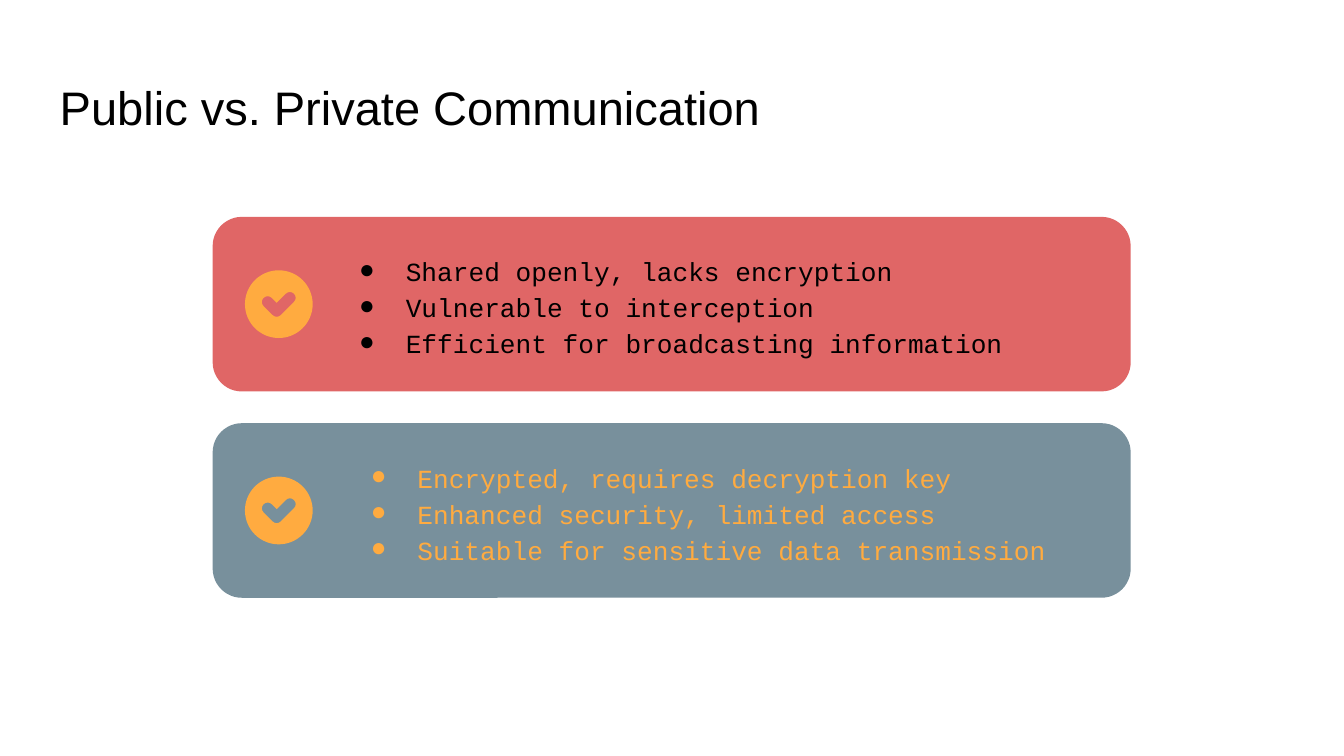
from dataclasses import dataclass
from math import cos, radians, sin, sqrt, tan

from lxml import etree
from pptx import Presentation
from pptx.dml.color import RGBColor
from pptx.enum import shapes, text
from pptx.oxml.ns import qn
from pptx.util import Cm, Pt


@dataclass(frozen=True)
class Theme:
    black: str = "000000"
    red: str = "E06666"
    slate: str = "78909C"
    amber: str = "FFAB40"
    title_font: str = "Arial"
    body_font: str = "Courier New"
    title_size: float = 25.2
    body_size: float = 14


THEME = Theme()

# Card layout in centimetres
CARD_LEFT, CARD_TOP, CARD_WIDTH, CARD_HEIGHT = 4.02, 4.1, 17.35, 3.3
CARD_PITCH = 3.9
TEXT_TOP, TEXT_RIGHT, TEXT_HEIGHT = 0.47, 20.89, 2.39
BADGE_X, BADGE_Y, BADGE_RADIUS = 5.27, 1.65, 0.64

# Fill, text colour, text left edge, bullet points
CARDS = [
    (THEME.red, THEME.black, 6.15, [
        "Shared openly, lacks encryption",
        "Vulnerable to interception",
        "Efficient for broadcasting information",
    ]),
    (THEME.slate, THEME.amber, 6.37, [
        "Encrypted, requires decryption key",
        "Enhanced security, limited access",
        "Suitable for sensitive data transmission",
    ]),
]


def paint(shape, color):
    shape.shadow.inherit = False
    shape.fill.solid()
    shape.fill.fore_color.rgb = RGBColor.from_string(color)
    shape.line.fill.background()


def style(paragraph, font, size, color):
    paragraph.font.name = font
    paragraph.font.size = Pt(size)
    paragraph.font.color.rgb = RGBColor.from_string(color)


def add_text_frame(slide, left, top, width, height, anchor):
    shape = slide.shapes.add_textbox(Cm(left), Cm(top), Cm(width), Cm(height))
    frame = shape.text_frame
    frame.word_wrap = True
    frame.vertical_anchor = anchor
    frame.margin_left = frame.margin_right = Cm(0.25)
    frame.margin_top = frame.margin_bottom = Cm(0.25)
    return frame


def add_title(slide, title):
    frame = add_text_frame(slide, 0.88, 1.24, 23.67, 1.6, text.MSO_ANCHOR.TOP)
    frame.text = title
    style(frame.paragraphs[0], THEME.title_font, THEME.title_size, THEME.black)


def set_bullet(paragraph, color):
    properties = paragraph._p.get_or_add_pPr()
    properties.set("marL", str(Cm(1.27)))
    properties.set("indent", str(Cm(-0.88)))
    bullet_color = etree.SubElement(properties, qn("a:buClr"))
    etree.SubElement(bullet_color, qn("a:srgbClr"), val=color)
    etree.SubElement(properties, qn("a:buSzPts"), val=str(THEME.body_size * 100))
    etree.SubElement(properties, qn("a:buFont"), typeface=THEME.body_font)
    etree.SubElement(properties, qn("a:buChar"), char="●")


def add_bullets(slide, left, top, lines, color):
    frame = add_text_frame(slide, left, top, TEXT_RIGHT - left, TEXT_HEIGHT,
                           text.MSO_ANCHOR.MIDDLE)
    frame.text = "\n".join(lines)
    for paragraph in frame.paragraphs:
        paragraph.line_spacing = 1.15
        set_bullet(paragraph, color)
        style(paragraph, THEME.body_font, THEME.body_size, color)


def add_command(outline, tag, *points):
    command = etree.SubElement(outline, qn(tag))
    for x, y in points:
        etree.SubElement(command, qn("a:pt"), x=str(Cm(x)), y=str(Cm(y)))


def add_arc(outline, x, y, radius, start, end, pieces, first="a:lnTo"):
    """Go to the start of an arc, then follow it in Bézier pieces."""
    step = radians(end - start) / pieces
    handle = 4 / 3 * tan(step / 4)

    def point(angle, pull=0):
        return (x + radius * (cos(angle) - pull * sin(angle)),
                y + radius * (sin(angle) + pull * cos(angle)))

    add_command(outline, first, point(radians(start)))
    for piece in range(pieces):
        begin = radians(start) + piece * step
        finish = begin + step
        add_command(outline, "a:cubicBezTo", point(begin, handle),
                    point(finish, -handle), point(finish))


def add_badge(slide, x, y):
    # A square outline sets the size; curves then take its place
    radius = BADGE_RADIUS
    left, top, right, bottom = map(
        Cm, (x - radius, y - radius, x + radius, y + radius))
    builder = slide.shapes.build_freeform(left, top)
    builder.add_line_segments([(right, top), (right, bottom), (left, bottom)])
    badge = builder.convert_to_shape()
    outline = next(badge._element.iter(qn("a:path")))
    for command in list(outline):
        outline.remove(command)

    # Tick with round ends, cut out of the disc
    tip, corner_x, corner_y = 0.11, radius - 0.04, radius + 0.13
    add_arc(outline, corner_x + 0.25, corner_y - 0.25, tip, 45, -135, 2, "a:moveTo")
    add_command(outline, "a:lnTo", (corner_x, corner_y - tip * sqrt(2)))
    add_arc(outline, corner_x - 0.17, corner_y - 0.17, tip, -45, -225, 2)
    add_arc(outline, corner_x, corner_y, tip, 135, 45, 1)
    add_command(outline, "a:close")

    # Disc
    add_arc(outline, radius, radius, radius, -90, -450, 8, "a:moveTo")
    add_command(outline, "a:close")
    paint(badge, THEME.amber)


def add_card(slide, top, fill):
    card = slide.shapes.add_shape(
        shapes.MSO_SHAPE.ROUNDED_RECTANGLE,
        Cm(CARD_LEFT), Cm(top), Cm(CARD_WIDTH), Cm(CARD_HEIGHT))
    card.adjustments[0] = 0.167
    paint(card, fill)


def main():
    presentation = Presentation()
    presentation.slide_width, presentation.slide_height = Cm(25.4), Cm(14.29)
    slide = presentation.slides.add_slide(presentation.slide_layouts[6])

    # Title
    add_title(slide, "Public vs. Private Communication")

    # Cards behind, then their badges and bullet points
    tops = [CARD_TOP + index * CARD_PITCH for index in range(len(CARDS))]
    for top, (fill, *_) in zip(tops, CARDS):
        add_card(slide, top, fill)
    for top, (_, color, text_left, lines) in zip(tops, CARDS):
        add_badge(slide, BADGE_X, top + BADGE_Y)
        add_bullets(slide, text_left, top + TEXT_TOP, lines, color)

    presentation.save("out.pptx")


if __name__ == "__main__":
    main()
